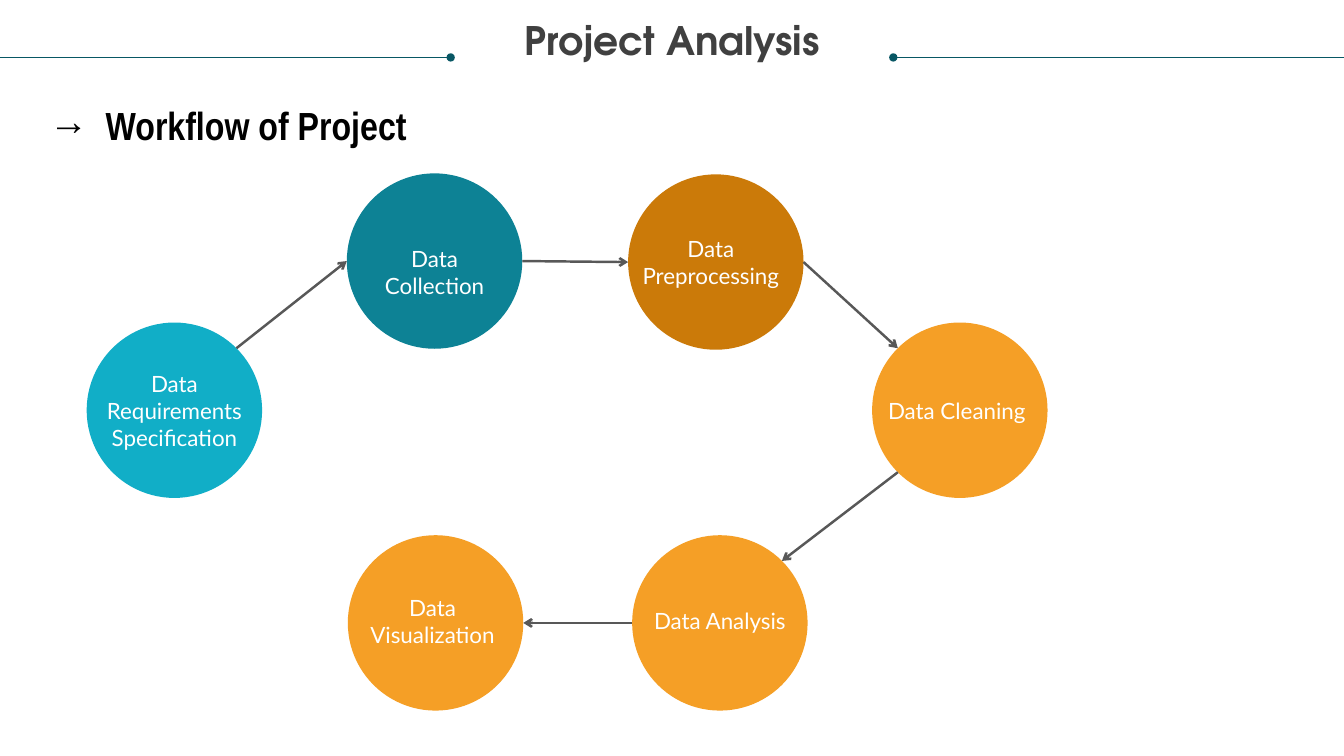
"""Build the project workflow slide: six stages joined by arrows."""
from dataclasses import dataclass
from itertools import pairwise
from math import cos, radians, sin

from lxml import etree
from pptx import Presentation
from pptx.dml.color import RGBColor
from pptx.enum.shapes import MSO_CONNECTOR, MSO_SHAPE
from pptx.enum.text import MSO_ANCHOR, PP_ALIGN
from pptx.oxml.ns import qn
from pptx.util import Inches, Pt

LINE = MSO_CONNECTOR.STRAIGHT
OVAL = MSO_SHAPE.OVAL
TOP, MIDDLE = MSO_ANCHOR.TOP, MSO_ANCHOR.MIDDLE
LEFT, CENTER = PP_ALIGN.LEFT, PP_ALIGN.CENTER

COLORS = {
    "rule": "085764",
    "title": "404040",
    "arrow": "585858",
    "black": "000000",
    "white": "FFFFFF",
    "cyan": "11AEC7",
    "teal": "0D8295",
    "brown": "CB7A09",
    "amber": "F59F26",
}
SIZE = 1.74
LABEL = 1.42
ROW = 0.27
RULE = 0.57
INDENT = 0.56


@dataclass(frozen=True)
class Stage:
    text: str
    rows: int
    color: str
    left: float
    top: float
    enter: int = 0
    leave: int = 0
    dx: float = 0
    dy: float = 0

    def center(self) -> tuple[float, float]:
        return self.left + SIZE / 2, self.top + SIZE / 2

    def edge(self, angle: int) -> tuple[float, float]:
        x, y = self.center()
        turn = radians(angle)
        return x + SIZE / 2 * cos(turn), y - SIZE / 2 * sin(turn)


@dataclass(frozen=True)
class Style:
    font: str
    size: int
    color: str
    bold: bool = False
    align: PP_ALIGN = CENTER
    anchor: MSO_ANCHOR = TOP
    inset: tuple[float, float] = (0, 0)
    space: float = 1


TITLE = Style("TeX Gyre Adventor", 28, "title", bold=True, space=0.9)
HEAD = Style("Arial Narrow", 28, "black", bold=True, align=LEFT, inset=(0.1, 0.05))
NOTE = Style("Lato", 16, "white", anchor=MIDDLE)

STAGES = [
    Stage("Data Requirements Specification", 3, "cyan", 0.86, 3.2, leave=45),
    Stage("Data Collection", 2, "teal", 3.44, 1.72, enter=180, dy=0.11),
    Stage("Data Preprocessing", 2, "brown", 6.23, 1.73, enter=180, dx=-0.05),
    Stage("Data Cleaning", 1, "amber", 8.65, 3.2, enter=135, leave=225, dx=-0.03),
    Stage("Data Analysis", 1, "amber", 6.27, 5.31, enter=45, leave=180, dy=-0.02),
    Stage("Data Visualization", 2, "amber", 3.45, 5.31, dx=-0.03, dy=-0.02),
]


def rgb(name: str) -> RGBColor:
    return RGBColor.from_string(COLORS[name])


def add_line(slide, start: tuple[float, float], end: tuple[float, float],
             color: str, width: float, tip: str) -> None:
    ends = [Inches(n) for n in (*start, *end)]
    line = slide.shapes.add_connector(LINE, *ends)
    line.line.color.rgb = rgb(color)
    line.line.width = Pt(width)
    etree.SubElement(line.line._get_or_add_ln(), qn("a:tailEnd"), type=tip)
    etree.SubElement(line._element.spPr, qn("a:effectLst"))


def add_text(slide, text: str, box: tuple[float, float, float, float], style: Style):
    frame = slide.shapes.add_textbox(*(Inches(n) for n in box)).text_frame
    frame.word_wrap = True
    frame.vertical_anchor = style.anchor
    side, edge = (Inches(n) for n in style.inset)
    frame.margin_left = frame.margin_right = side
    frame.margin_top = frame.margin_bottom = edge
    para = frame.paragraphs[0]
    para.alignment = style.align
    para.line_spacing = style.space
    run = para.add_run()
    run.text = text
    run.font.name = style.font
    run.font.size = Pt(style.size)
    run.font.bold = style.bold
    run.font.color.rgb = rgb(style.color)
    return para


def add_stage(slide, stage: Stage) -> None:
    disc = slide.shapes.add_shape(
        OVAL, Inches(stage.left), Inches(stage.top), Inches(SIZE), Inches(SIZE))
    disc.shadow.inherit = False
    disc.fill.solid()
    disc.fill.fore_color.rgb = rgb(stage.color)
    disc.line.fill.background()
    x, y = stage.center()
    high = stage.rows * ROW
    box = (x + stage.dx - LABEL / 2, y + stage.dy - high / 2, LABEL, high)
    add_text(slide, stage.text, box, NOTE)


def main() -> None:
    deck = Presentation()
    deck.slide_width, deck.slide_height = Inches(13.33), Inches(7.5)
    slide = deck.slides.add_slide(deck.slide_layouts[6])

    for start, end in ((0, 4.47), (13.33, 8.86)):
        add_line(slide, (start, RULE), (end, RULE), "rule", 0.5, "oval")
    add_text(slide, "Project Analysis", (0.25, 0.21, 12.83, 0.85), TITLE)

    head = add_text(slide, "→\tWorkflow of Project", (0.39, 0.96, 4, 0.57), HEAD)
    props = head._p.get_or_add_pPr()
    props.set("marL", str(Inches(INDENT)))
    props.set("indent", str(-Inches(INDENT)))

    for stage in STAGES:
        add_stage(slide, stage)
    for prev, then in pairwise(STAGES):
        add_line(slide, prev.edge(prev.leave), then.edge(then.enter),
                 "arrow", 1.75, "arrow")

    deck.save("out.pptx")


if __name__ == "__main__":
    main()
